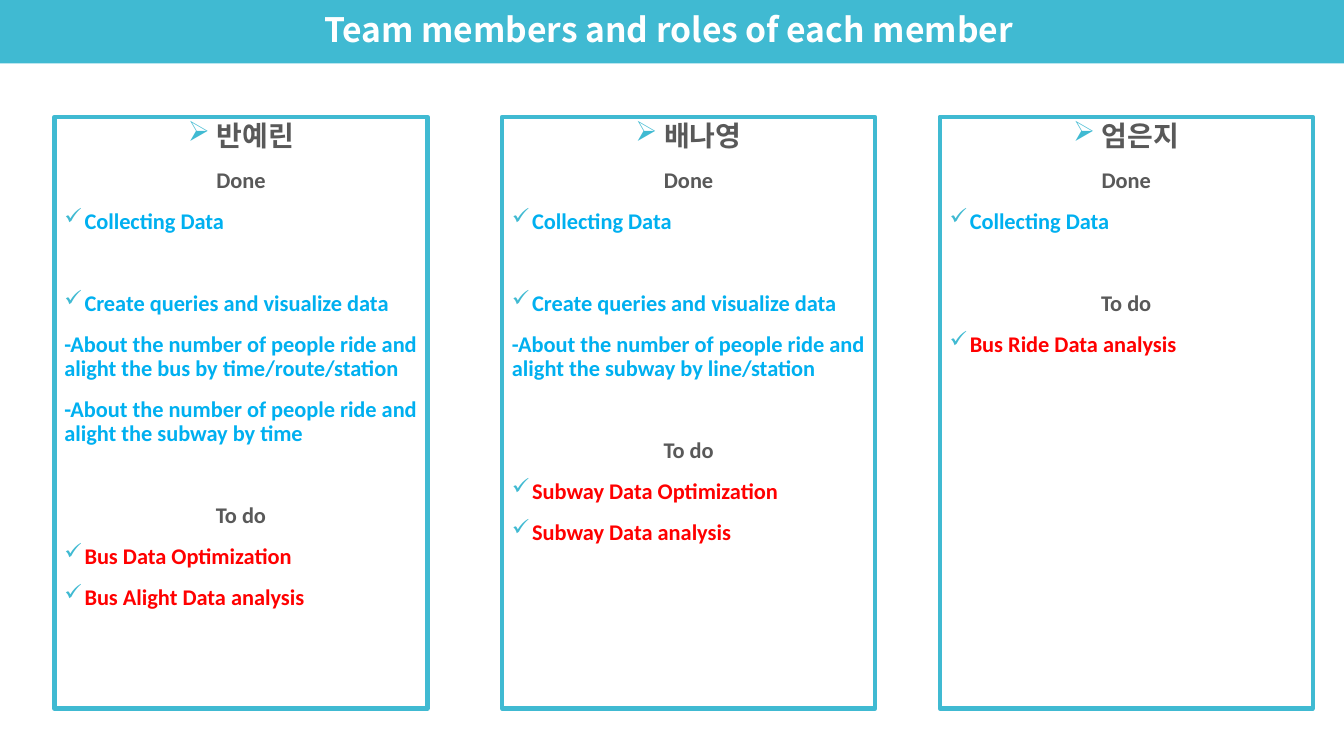
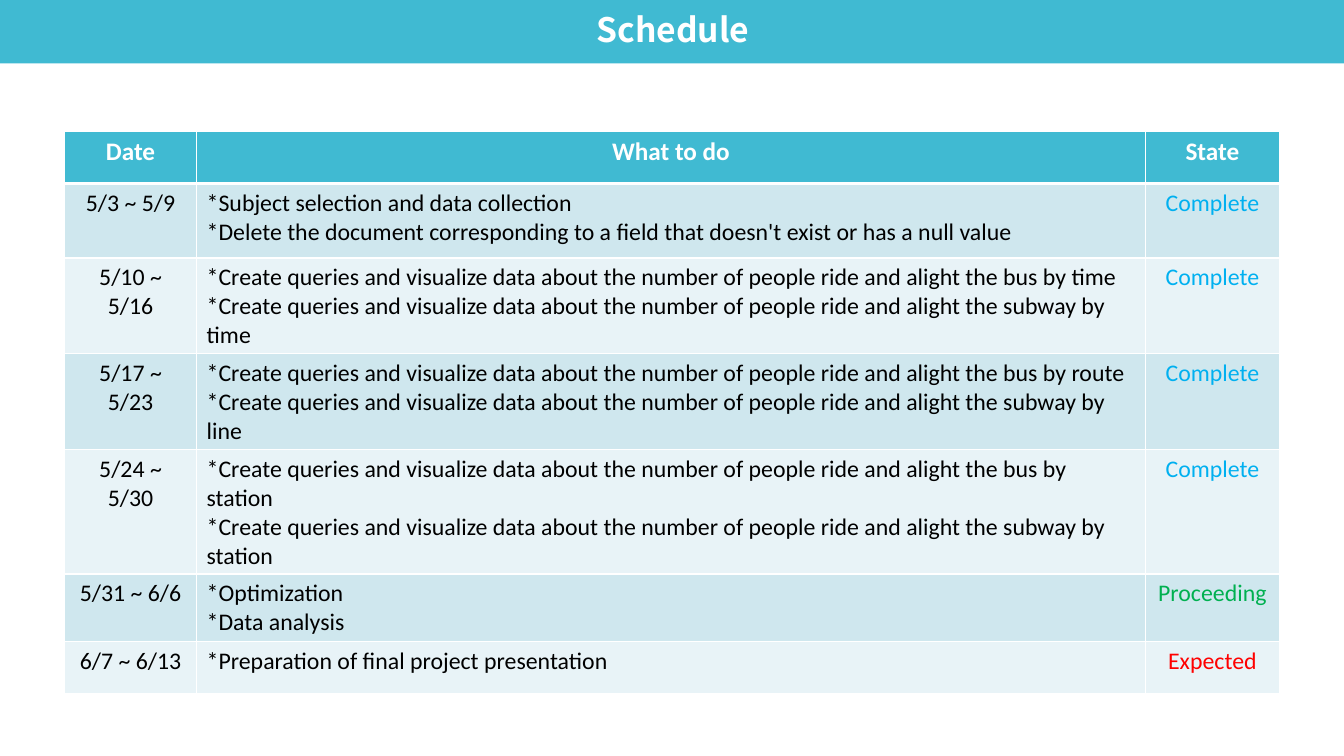
from lxml import etree
from pptx import Presentation
from pptx.dml.color import RGBColor
from pptx.enum import shapes, text
from pptx.oxml.ns import qn
from pptx.util import Inches, Pt

TEAL, WHITE, BLACK, GREY = "40BAD2", "FFFFFF", "000000", "595959"
BLUE, GREEN, RED = "00B0F0", "00B050", "FF0000"
BANDS = ("CFE7EE", "E8F3F7")
BODY_FONT, TITLE_FONT = "Calibri", "Noto Sans CJK KR"
CENTER, LEFT = text.PP_ALIGN.CENTER, text.PP_ALIGN.LEFT
SLIDE_W, SLIDE_H = 13.33, 7.5

CARD_TOP, CARD_W, CARD_H = 1.16, 3.7, 5.87
SPACE_BEFORE, SECTION_SPACE = 12, 41.3
ARROW, CHECK = "➢", "✓"

RIDE = "-About the number of people ride and alight the "
# Each member: left edge, name, groups of finished work, remaining work
MEMBERS = [
    (0.54, "반예린",
     [["Collecting Data"],
      ["Create queries and visualize data",
       RIDE + "bus by time/route/station", RIDE + "subway by time"]],
     ["Bus Data Optimization", "Bus Alight Data analysis"]),
    (4.98, "배나영",
     [["Collecting Data"],
      ["Create queries and visualize data", RIDE + "subway by line/station"]],
     ["Subway Data Optimization", "Subway Data analysis"]),
    (9.32, "엄은지", [["Collecting Data"]], ["Bus Ride Data analysis"]),
]

QUERY = "*Create queries and visualize data about the number of people ride and alight the "
COLUMNS = [("Date", 1.31, CENTER), ("What to do", 9.41, LEFT), ("State", 1.33, CENTER)]
ROW_HEIGHTS = [0.52, 0.74] + [0.52] * 5
STATE_COLORS = {"Complete": BLUE, "Proceeding": GREEN, "Expected": RED}
SCHEDULE = [
    ("5/3 ~ 5/9",
     ["*Subject selection and data collection",
      "*Delete the document corresponding to a field that doesn't exist or has a null value"],
     "Complete"),
    ("5/10 ~ 5/16", [QUERY + "bus by time", QUERY + "subway by time"], "Complete"),
    ("5/17 ~ 5/23", [QUERY + "bus by route", QUERY + "subway by line"], "Complete"),
    ("5/24 ~ 5/30", [QUERY + "bus by station", QUERY + "subway by station"], "Complete"),
    ("5/31 ~ 6/6", ["*Optimization", "*Data analysis"], "Proceeding"),
    ("6/7 ~ 6/13", ["*Preparation of final project presentation"], "Expected"),
]


def rgb(color):
    return RGBColor.from_string(color)


def style(p, size, color, bold=False, font=BODY_FONT, align=LEFT):
    p.alignment = align
    for r in p.runs:
        r.font.size, r.font.bold, r.font.name = Pt(size), bold, font
        r.font.color.rgb = rgb(color)


def add_rect(s, left, top, width, height, fill=None, line=None):
    sp = s.shapes.add_shape(shapes.MSO_SHAPE.RECTANGLE, Inches(left), Inches(top),
                            Inches(width), Inches(height))
    sp.shadow.inherit = False
    if fill:
        sp.fill.solid()
        sp.fill.fore_color.rgb = rgb(fill)
    else:
        sp.fill.background()
    if line:
        sp.line.color.rgb = rgb(line)
        sp.line.width = Pt(3)
    else:
        sp.line.fill.background()
    return sp


def add_titled_slide(prs, title, title_w):
    s = prs.slides.add_slide(prs.slide_layouts[6])
    add_rect(s, 0, 0, SLIDE_W, 0.63, fill=TEAL)
    tf = s.shapes.add_textbox(Inches(0.02), Inches(0.04), Inches(title_w), Inches(0.5)).text_frame
    tf.word_wrap = True
    tf.text = title
    style(tf.paragraphs[0], 24, WHITE, True, TITLE_FONT, CENTER)
    return s


def set_bullet(p, char):
    pPr = p._p.get_or_add_pPr()
    pPr.set("marL", str(Inches(0.2)))
    pPr.set("indent", str(Inches(-0.2)))
    color = etree.SubElement(pPr, qn("a:buClr"))
    etree.SubElement(color, qn("a:srgbClr"), val=TEAL)
    etree.SubElement(pPr, qn("a:buChar"), char=char)


def add_line(tf, content, color, size=16, align=LEFT, bullet=None, space=SPACE_BEFORE):
    p = tf.add_paragraph() if tf.text else tf.paragraphs[0]
    p.text = content
    p.line_spacing = 0.9
    p.space_before = Pt(space)
    style(p, size, color, True, align=align)
    if bullet:
        set_bullet(p, bullet)


def add_member_card(s, left, name, done, todo):
    tf = add_rect(s, left, CARD_TOP, CARD_W, CARD_H, line=TEAL).text_frame
    tf.word_wrap = True
    tf.vertical_anchor = text.MSO_ANCHOR.TOP
    add_line(tf, " " + name, GREY, 20, CENTER, ARROW)
    add_line(tf, "Done", GREY, align=CENTER)
    for i, (task, *details) in enumerate(done):
        add_line(tf, task, BLUE, bullet=CHECK, space=SECTION_SPACE if i else SPACE_BEFORE)
        for detail in details:
            add_line(tf, detail, BLUE)
    add_line(tf, "To do", GREY, align=CENTER, space=SECTION_SPACE)
    for task in todo:
        add_line(tf, task, RED, bullet=CHECK)


def set_borders(cell, **widths):
    """Draw white cell borders; widths in points are keyed by side (L, R, T, B)."""
    tcPr = cell._tc.get_or_add_tcPr()
    for side, width in widths.items():
        ln = etree.SubElement(tcPr, qn("a:ln" + side), w=str(Pt(width)))
        fill = etree.SubElement(ln, qn("a:solidFill"))
        etree.SubElement(fill, qn("a:srgbClr"), val=WHITE)


def fill_cell(cell, lines, fill, size, color, bold, align, top=1, bottom=1):
    set_borders(cell, L=1, R=1, T=top, B=bottom)
    cell.fill.solid()
    cell.fill.fore_color.rgb = rgb(fill)
    cell.text_frame.text = "\n".join(lines)
    for p in cell.text_frame.paragraphs:
        style(p, size, color, bold, align=align)


def add_schedule_table(s):
    table = s.shapes.add_table(len(ROW_HEIGHTS), len(COLUMNS), Inches(0.64), Inches(1.3),
                               Inches(sum(w for _, w, _ in COLUMNS)),
                               Inches(sum(ROW_HEIGHTS))).table
    for row, height in zip(table.rows, ROW_HEIGHTS):
        row.height = Inches(height)
    for c, (heading, width, _) in enumerate(COLUMNS):
        table.columns[c].width = Inches(width)
        fill_cell(table.cell(0, c), [heading], TEAL, 18, WHITE, True, CENTER, bottom=3)
    for r, (date, tasks, state) in enumerate(SCHEDULE, 1):
        colors = (BLACK, BLACK, STATE_COLORS[state])
        for c, lines in enumerate(([date], tasks, [state])):
            fill_cell(table.cell(r, c), lines, BANDS[(r - 1) % 2], 17, colors[c], False,
                      COLUMNS[c][2], top=3 if r == 1 else 1)


def main():
    prs = Presentation()
    prs.slide_width, prs.slide_height = Inches(SLIDE_W), Inches(SLIDE_H)
    s = add_titled_slide(prs, "Team members and roles of each member", 13.22)
    for member in MEMBERS:
        add_member_card(s, *member)
    add_schedule_table(add_titled_slide(prs, "Schedule", 13.31))
    prs.save("out.pptx")


if __name__ == "__main__":
    main()
